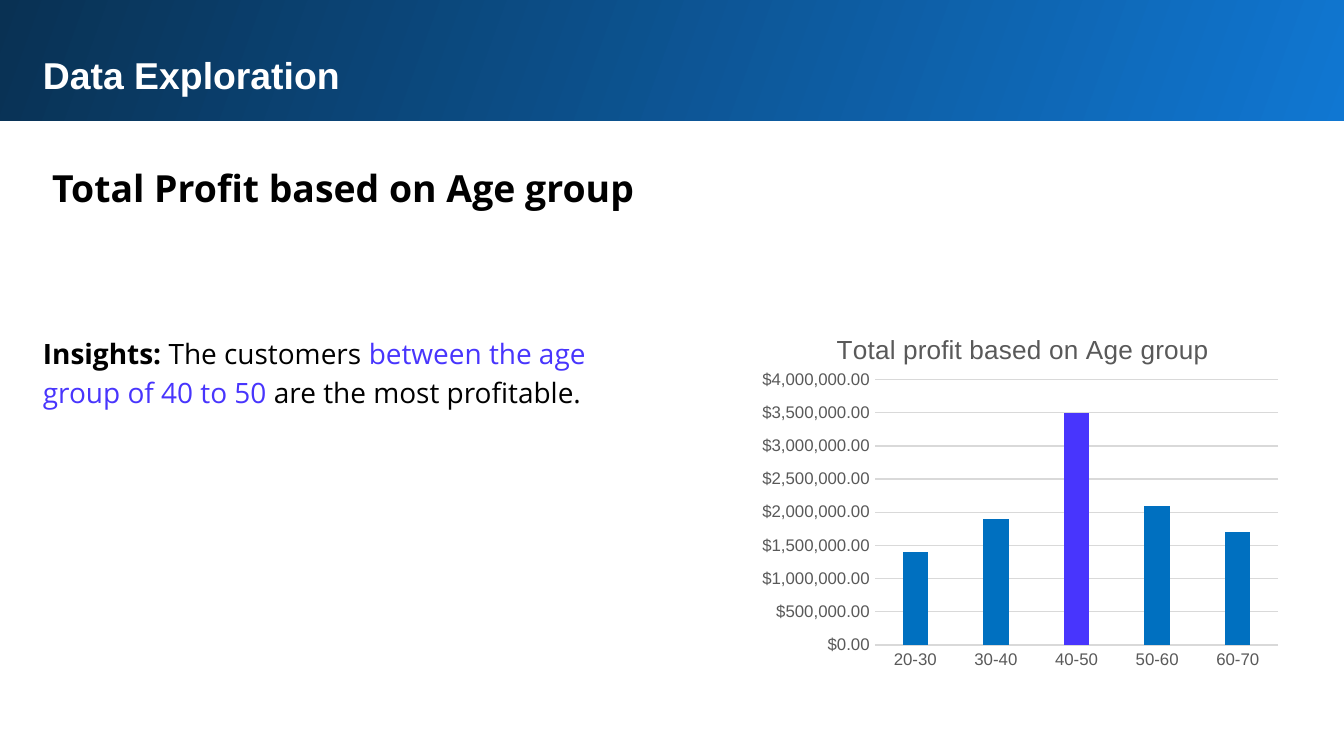
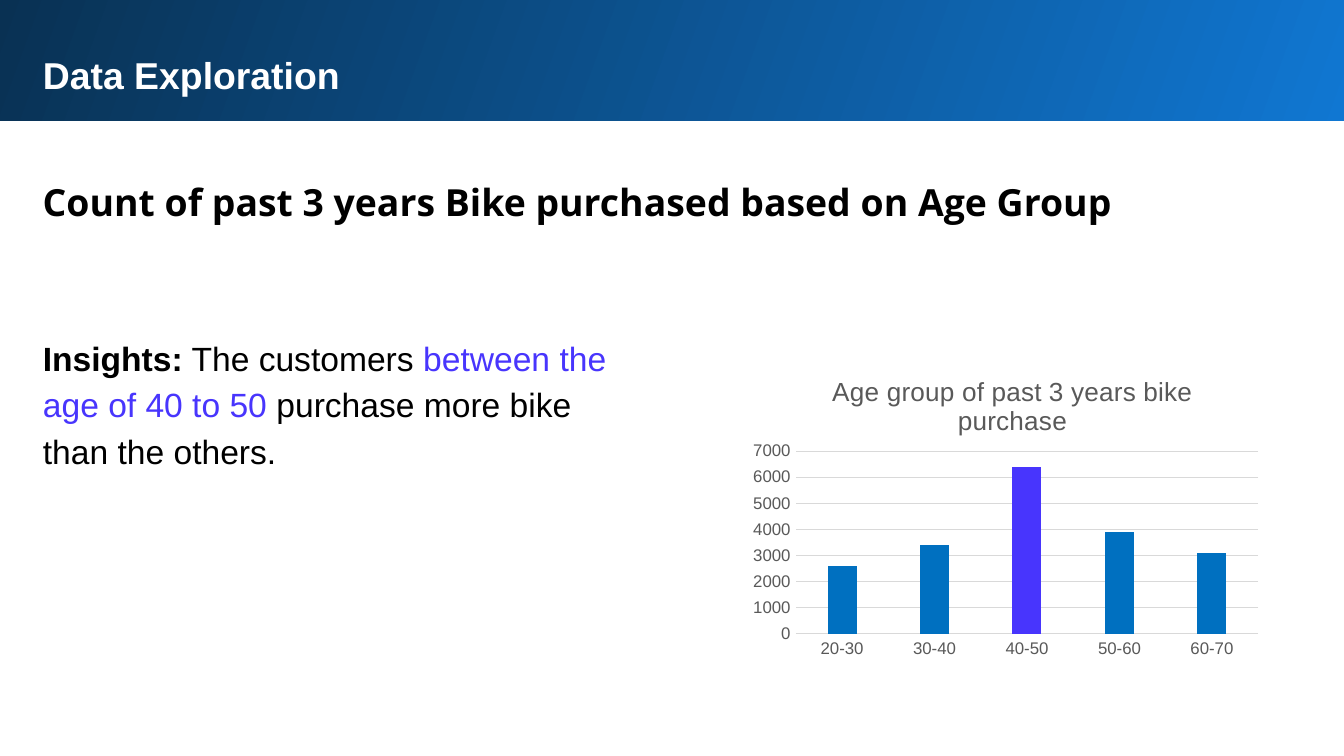
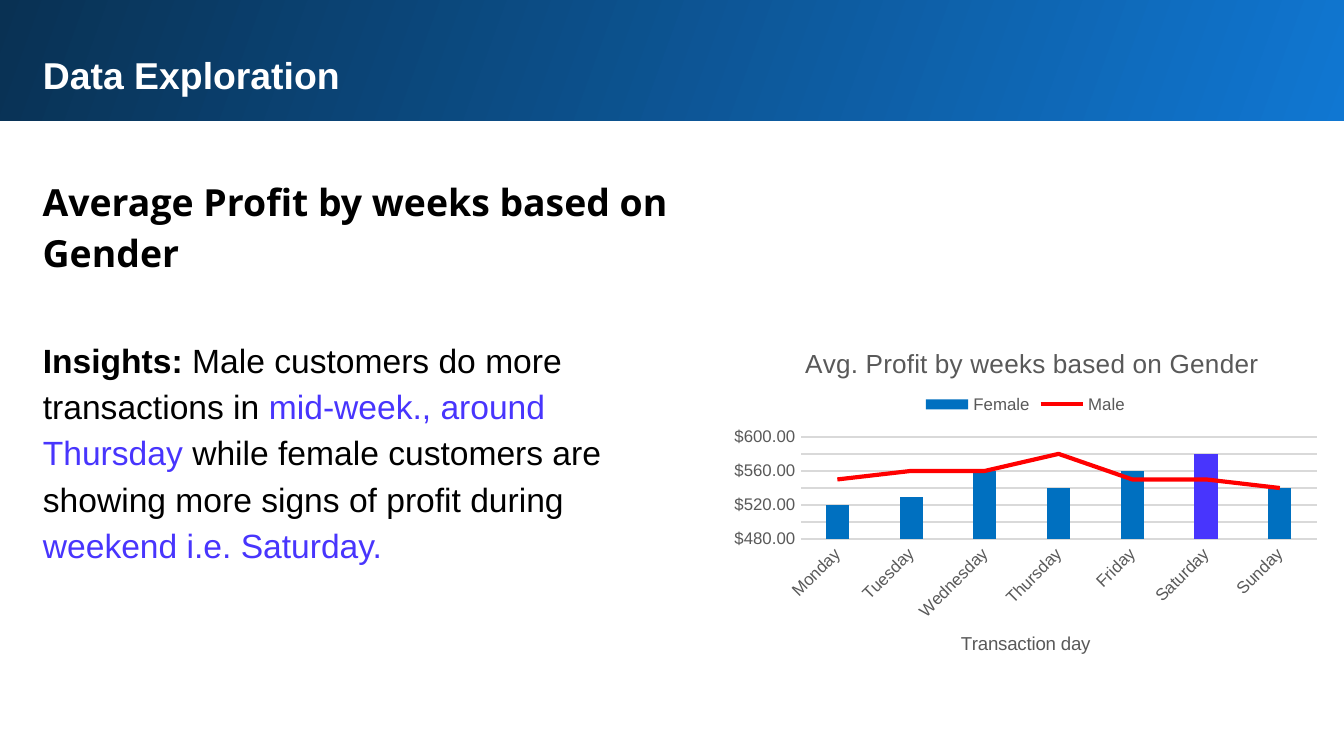
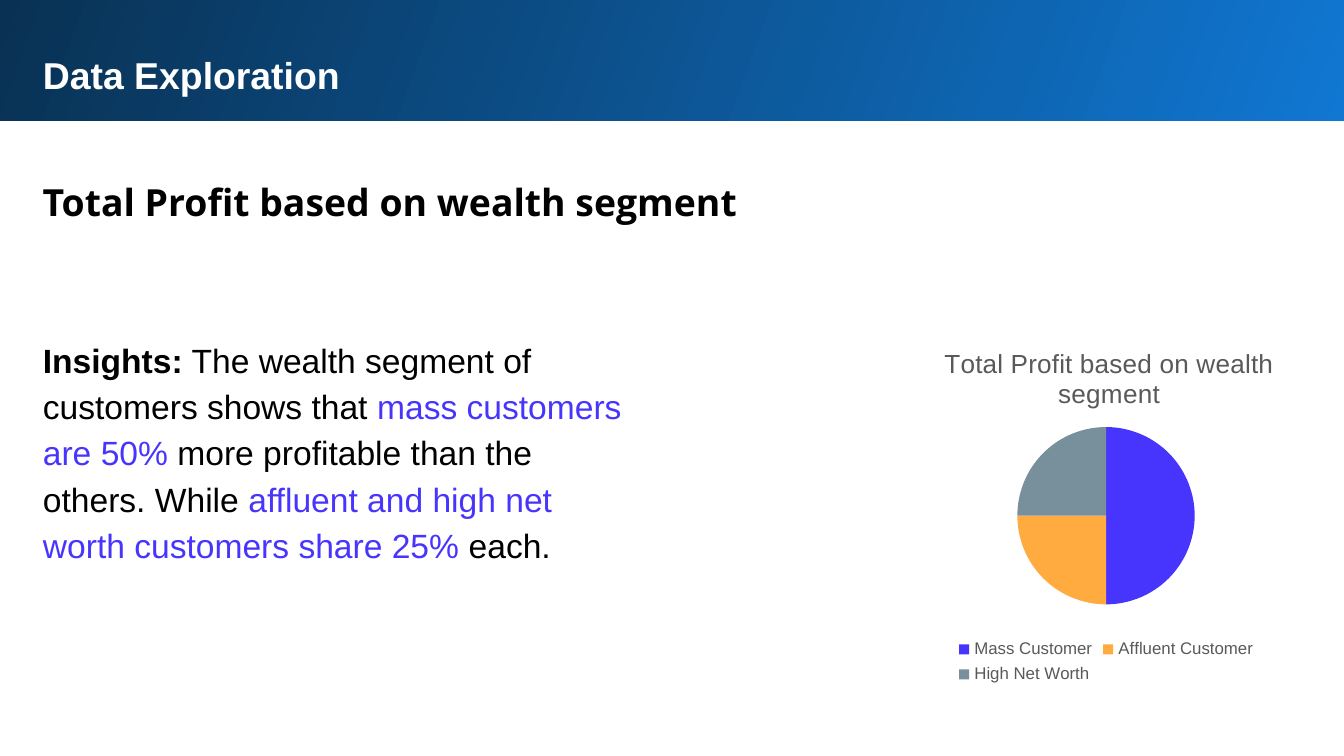
from dataclasses import dataclass

from lxml import etree
from pptx import Presentation, oxml
from pptx.chart import data as chart_data
from pptx.dml.color import RGBColor
from pptx.enum import chart as ch, shapes, text
from pptx.oxml import ns
from pptx.util import Pt


def rgb(code):
    return RGBColor.from_string(code)


@dataclass(frozen=True)
class Theme:
    band_light = rgb("1077D2")
    band_dark = rgb("093153")
    white = rgb("FFFFFF")
    ink = rgb("000000")
    accent = rgb("4835FD")
    bar = rgb("0070C0")
    line = rgb("FF0000")
    orange = rgb("FFAB40")
    slate = rgb("78909C")
    chart_ink = rgb("595959")
    grid = rgb("D9D9D9")
    sans = "Arial"
    display = "Open Sans"
    heading_size = 20
    insight_size = 18
    small_insight_size = 15
    chart_title_size = 14
    axis_title_size = 10
    label_size = 9


MARGIN = 15.8
WIDTH, HEIGHT = 720, 405
DOLLARS = "[$$-409]#,##0.00"
AGE_GROUPS = ["20-30", "30-40", "40-50", "50-60", "60-70"]
WEEKDAYS = ["Monday", "Tuesday", "Wednesday", "Thursday", "Friday",
            "Saturday", "Sunday"]


def set_font(font, name, size, color, bold=False):
    font.name, font.size, font.bold = name, Pt(size), bold
    font.color.rgb = color


def place(shape, box):
    shape.left, shape.top, shape.width, shape.height = map(Pt, box)


def manual_layout(parent, x, y, w=None, h=None):
    """Pin a chart part at fractions of the chart's size."""
    for previous in parent.findall(ns.qn("c:layout")):
        parent.remove(previous)
    layout = etree.Element(ns.qn("c:layout"))
    manual = etree.SubElement(layout, ns.qn("c:manualLayout"))
    settings = [("xMode", "edge"), ("yMode", "edge"), ("x", x), ("y", y)]
    if w is not None:
        settings = [("layoutTarget", "inner")] + settings + [("w", w), ("h", h)]
    for tag, value in settings:
        etree.SubElement(manual, ns.qn("c:" + tag)).set("val", str(value))
    text_part = parent.find(ns.qn("c:tx"))
    if text_part is None:
        parent.insert(0, layout)
    else:
        text_part.addnext(layout)


def last_series_as_line(chart):
    """Move the last column series to a line plot on the same axes."""
    columns = chart.plots[0]._element
    series = columns.findall(ns.qn("c:ser"))[-1]
    for flag in series.findall(ns.qn("c:invertIfNegative")):
        series.remove(flag)
    lines = oxml.parse_xml(
        f'<c:lineChart {ns.nsdecls("c")}><c:grouping val="standard"/>'
        '<c:varyColors val="0"/></c:lineChart>')
    lines.append(series)
    etree.SubElement(lines, ns.qn("c:marker")).set("val", "1")
    for axis in columns.findall(ns.qn("c:axId")):
        etree.SubElement(lines, ns.qn("c:axId")).set("val", axis.get("val"))
    columns.addnext(lines)
    return chart.plots[1].series[0]


class Deck:
    def __init__(self, theme):
        self.theme = theme
        self.prs = Presentation()
        self.prs.slide_width, self.prs.slide_height = Pt(WIDTH), Pt(HEIGHT)
        self.slide = None

    def new_slide(self, title):
        self.slide = self.prs.slides.add_slide(self.prs.slide_layouts[1])
        self.band()
        heading = self.slide.shapes.title
        place(heading, (MARGIN, 20.9, 674.6, 36.7))
        line = self.first_paragraph(heading)
        line.text = title
        set_font(line.font, self.theme.sans, self.theme.heading_size,
                 self.theme.white, True)

    def band(self):
        band = self.slide.shapes.add_shape(
            shapes.MSO_SHAPE.RECTANGLE, Pt(-1.2), Pt(-1.2), Pt(723.6), Pt(66))
        band.shadow.inherit = False
        band.line.fill.background()
        band.fill.gradient()
        band.fill.gradient_angle = 160
        ends = self.theme.band_light, self.theme.band_dark
        for stop, color in zip(band.fill.gradient_stops, ends):
            stop.color.rgb = color
        self.slide.shapes._spTree.insert(2, band._element)

    def first_paragraph(self, shape):
        """Set up the shape's text frame and return its first paragraph."""
        frame = shape.text_frame
        frame.word_wrap = True
        frame.auto_size = text.MSO_AUTO_SIZE.SHAPE_TO_FIT_TEXT
        frame.vertical_anchor = text.MSO_ANCHOR.TOP
        frame.margin_left = frame.margin_right = Pt(7.2)
        frame.margin_top = frame.margin_bottom = Pt(7.2)
        paragraph = frame.paragraphs[0]
        paragraph.alignment = text.PP_ALIGN.LEFT
        return paragraph

    def topic(self, words, width, left=MARGIN, top=85):
        box = self.slide.shapes.add_textbox(
            Pt(left), Pt(top), Pt(width), Pt(40.3))
        line = self.first_paragraph(box)
        line.text = words
        line.line_spacing = 1.15
        set_font(line.font, self.theme.display, self.theme.heading_size,
                 self.theme.ink, True)

    def insights(self, words, top, height, font=None, size=None):
        """Write the finding; words between asterisks are highlighted."""
        body = self.slide.placeholders[1]
        place(body, (MARGIN, top, 325.4, height))
        finding = self.first_paragraph(body)
        finding.line_spacing = 1.15
        finding.space_before = Pt(0)
        props = finding._p.get_or_add_pPr()
        props.set("marL", "0")
        props.set("indent", "0")
        etree.SubElement(props, ns.qn("a:buNone"))
        set_font(finding.font, font or self.theme.sans,
                 size or self.theme.insight_size, self.theme.ink)
        label = finding.add_run()
        label.text = "Insights:"
        label.font.bold = True
        for index, part in enumerate((" " + words).split("*")):
            if part:
                run = finding.add_run()
                run.text = part
                if index % 2:
                    run.font.color.rgb = self.theme.accent

    def chart(self, kind, box, title, title_x, plot_area, categories, series):
        theme = self.theme
        data = chart_data.CategoryChartData()
        data.categories = categories
        for name, values in series.items():
            data.add_series(name, values)
        chart = self.slide.shapes.add_chart(kind, *map(Pt, box), data).chart
        set_font(chart.font, theme.sans, theme.label_size, theme.chart_ink)
        chart.has_legend = False
        chart.has_title = True
        self.chart_text(chart.chart_title, title, theme.chart_title_size)
        manual_layout(chart.chart_title._element, title_x, 0.06)
        manual_layout(chart._chartSpace.chart.plotArea, *plot_area)
        return chart

    def chart_text(self, holder, words, size):
        line = holder.text_frame.paragraphs[0]
        line.text = words
        set_font(line.font, self.theme.sans, size, self.theme.chart_ink)

    def legend(self, chart, position):
        chart.has_legend = True
        chart.legend.position = position
        chart.legend.include_in_layout = False
        set_font(chart.legend.font, self.theme.sans, self.theme.label_size,
                 self.theme.chart_ink)

    def columns(self, box, title, title_x, plot_area, categories, series,
                peak, scale, number_format="General"):
        """Column chart with one highlighted column; scale is (min, max, step)."""
        theme = self.theme
        chart = self.chart(ch.XL_CHART_TYPE.COLUMN_CLUSTERED, box, title,
                           title_x, plot_area, categories, series)
        plot = chart.plots[0]
        plot.gap_width, plot.overlap = 219, -27
        plot.vary_by_categories = False
        bars = plot.series[0]
        bars.invert_if_negative = False
        for part, color in ((bars, theme.bar),
                            (bars.points[peak], theme.accent)):
            part.format.fill.solid()
            part.format.fill.fore_color.rgb = color

        values, names = chart.value_axis, chart.category_axis
        for axis in (values, names):
            axis.major_tick_mark = axis.minor_tick_mark = ch.XL_TICK_MARK.NONE
            set_font(axis.tick_labels.font, theme.sans, theme.label_size,
                     theme.chart_ink)
        values.minimum_scale, values.maximum_scale, values.major_unit = scale
        values.tick_labels.number_format = number_format
        values.tick_labels.number_format_is_linked = False
        values.format.line.fill.background()
        values.has_major_gridlines = True
        for rule in (values.major_gridlines.format.line, names.format.line):
            rule.color.rgb = theme.grid
            rule.width = Pt(0.75)
        return chart

    def columns_and_line(self, axis_title, *args, **options):
        chart = self.columns(*args, **options)
        trend = last_series_as_line(chart)
        trend.smooth = False
        trend.marker.style = ch.XL_MARKER_STYLE.NONE
        trend.format.line.color.rgb = self.theme.line
        trend.format.line.width = Pt(2.25)
        self.legend(chart, ch.XL_LEGEND_POSITION.TOP)
        days = chart.category_axis
        days.has_title = True
        self.chart_text(days.axis_title, axis_title, self.theme.axis_title_size)
        label_body = days._element.find(ns.qn("c:txPr")).find(ns.qn("a:bodyPr"))
        label_body.set("rot", "-2700000")

    def pie(self, colors, *args):
        chart = self.chart(ch.XL_CHART_TYPE.PIE, *args)
        plot = chart.plots[0]
        plot.vary_by_categories = True
        for index, color in enumerate(colors):
            fill = plot.series[0].points[index].format.fill
            fill.solid()
            fill.fore_color.rgb = color
        self.legend(chart, ch.XL_LEGEND_POSITION.BOTTOM)


def main():
    theme = Theme()
    deck = Deck(theme)
    section = "Data Exploration"

    deck.new_slide(section)
    deck.topic("Total Profit based on Age group", 348.5, left=20.9, top=77.8)
    deck.insights("The customers *between the age group of 40 to 50* are the "
                  "most profitable.", 170.6, 54.7,
                  theme.display, theme.small_insight_size)
    deck.columns((402.5, 163.4, 288, 200.2), "Total profit based on Age group",
                 0.15, (0.23, 0.2, 0.75, 0.71), AGE_GROUPS,
                 {"Series 1": [1400000, 1900000, 3500000, 2100000, 1700000]},
                 peak=2, scale=(0, 4000000, 500000), number_format=DOLLARS)

    deck.new_slide(section)
    deck.topic("Count of past 3 years Bike purchased based on Age Group", 674.6)
    deck.insights("The customers *between the age of 40 to 50* purchase more "
                  "bike than the others.", 170.6, 87.8)
    deck.columns((398.2, 187.9, 281.5, 168.5),
                 "Age group of past 3 years bike purchase",
                 0.16, (0.1, 0.32, 0.88, 0.58), AGE_GROUPS,
                 {"Series 1": [2600, 3400, 6400, 3900, 3100]},
                 peak=2, scale=(0, 7000, 1000))

    deck.new_slide(section)
    deck.topic("Average Profit by weeks based on Gender", 427)
    deck.insights("Male customers do more transactions in *mid-week., around "
                  "Thursday* while female customers are showing more signs of "
                  "profit during *weekend i.e. Saturday.*", 171.4, 137.5)
    deck.columns_and_line(
        "Transaction day", (386.6, 171.4, 325.4, 195.8),
        "Avg. Profit by weeks based on Gender",
        0.13, (0.13, 0.32, 0.85, 0.28), WEEKDAYS,
        {"Female": [520, 530, 560, 540, 560, 580, 540],
         "Male": [550, 560, 560, 580, 550, 550, 540]},
        peak=5, scale=(480, 600, 20), number_format=DOLLARS)

    deck.new_slide(section)
    deck.topic("Total Profit based on wealth segment", 437)
    deck.insights("The wealth segment of customers shows that *mass customers "
                  "are 50%* more profitable than the others. While *affluent "
                  "and high net worth customers share 25%* each.", 171.4, 137.5)
    deck.pie((theme.accent, theme.orange, theme.slate),
             (465.1, 171.4, 254.9, 198), "Total Profit based on wealth segment",
             0.15, (0.31, 0.29, 0.38, 0.48),
             ["Mass Customer", "Affluent Customer", "High Net Worth"],
             {"Series 1": [50, 25, 25]})

    deck.prs.save("out.pptx")


if __name__ == "__main__":
    main()
